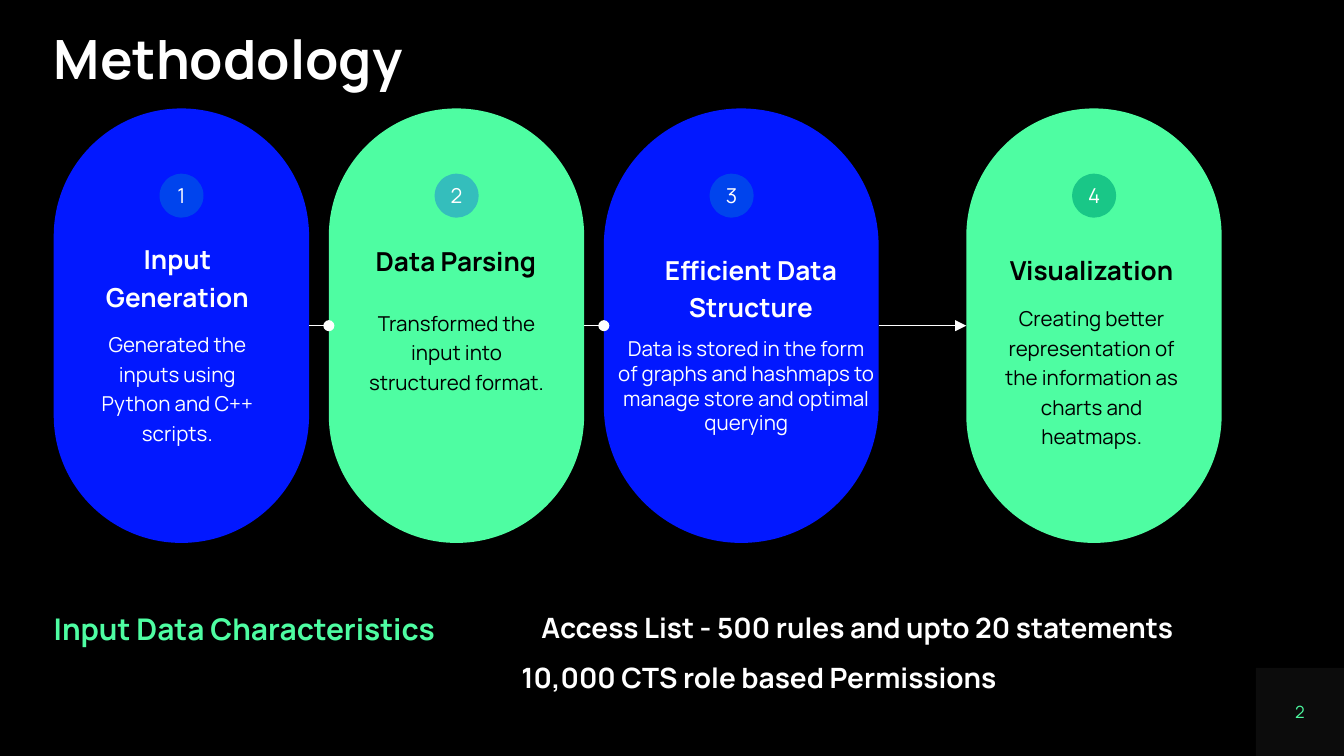
import pptx
import pptx.util
import pptx.dml.color
import pptx.enum.shapes
import pptx.enum.text
import pptx.oxml.ns
import lxml.etree

SHAPE = pptx.enum.shapes.MSO_SHAPE
ALIGN = pptx.enum.text.PP_ALIGN
ANCHOR = pptx.enum.text.MSO_ANCHOR
WHITE, BLACK, BLUE, GREEN, GREY = "FFFFFF", "000000", "0218FF", "4EFDA2", "7F7F7F"
FONT = "Manrope"
COLUMNS = 100
SLIDE_WIDTH = pptx.util.Inches(10)
SLIDE_HEIGHT = SLIDE_WIDTH * 9 // 16
PILL_TOP, PILL_HEIGHT = 8.07, 32.33


def grid(*values):
    """Turn grid units, each one column wide, into lengths."""
    return [round(v * SLIDE_WIDTH / COLUMNS) for v in values]


def paint(color_format, color):
    """Set a colour from a hex string."""
    color_format.rgb = pptx.dml.color.RGBColor.from_string(color)


def sub(parent, tag, **attributes):
    """Append a DrawingML element to a parent."""
    return lxml.etree.SubElement(parent, pptx.oxml.ns.qn(tag), attributes)


def write(tf, paragraphs, color, align=ALIGN.CENTER, inset=0, anchor=ANCHOR.TOP):
    """Fill a frame with (text, size, bold, line spacing, space before)."""
    tf.word_wrap = True
    tf.vertical_anchor = anchor
    tf.margin_left = tf.margin_right = tf.margin_top = tf.margin_bottom = grid(inset)[0]
    tf.text = "\n".join(item[0] for item in paragraphs)
    for p, (_, size, bold, spacing, before) in zip(tf.paragraphs, paragraphs):
        p.alignment = align
        p.line_spacing = spacing
        p.space_before = pptx.util.Pt(before)
        for r in p.runs:
            r.font.name = FONT
            r.font.size = pptx.util.Pt(size)
            r.font.bold = bold
            paint(r.font.color, color)


def add_text(s, box, paragraphs, color, **options):
    """Add a text box on the grid and return its frame."""
    tf = s.shapes.add_textbox(*grid(*box)).text_frame
    write(tf, paragraphs, color, **options)
    return tf


def add_shape(s, kind, box, color):
    """Add a flat shape without outline on the grid."""
    sp = s.shapes.add_shape(kind, *grid(*box))
    sp.shadow.inherit = False
    sp.fill.solid()
    paint(sp.fill.fore_color, color)
    sp.line.fill.background()
    return sp


def add_pill(s, box, number, fill, badge_fill, color, texts):
    """Place a pill, its number badge and its texts relative to a box."""
    x, y = box[:2]
    pill = add_shape(s, SHAPE.ROUNDED_RECTANGLE, box, fill)
    pill.adjustments[0] = 0.5
    badge = add_shape(s, SHAPE.OVAL, (x + 7.87, y + 4.85, 3.27, 3.27), badge_fill)
    write(badge.text_frame, [(str(number), 11, False, 1.0, 0)], WHITE, anchor=ANCHOR.MIDDLE)
    for (dx, dy, w, h), align, paragraphs in texts:
        add_text(s, (x + dx, y + dy, w, h), paragraphs, color, align=align, inset=1)


def add_link(s, start, end, y, head):
    """Join two pills with a thin white line ending in a head."""
    x1, x2, y = grid(start, end, y)
    line = s.shapes.add_connector(pptx.enum.shapes.MSO_CONNECTOR.STRAIGHT, x1, y, x2, y)
    line.line.width = pptx.util.Pt(0.75)
    paint(line.line.color, WHITE)
    sub(line.line._get_or_add_ln(), "a:tailEnd", type=head)
    sub(line._element.spPr, "a:effectLst")


def add_process(s, pills):
    """Place the row of pills and the links between neighbours."""
    for number, (x, w, fill, badge, color, texts) in enumerate(pills, 1):
        add_pill(s, (x, PILL_TOP, w, PILL_HEIGHT), number, fill, badge, color, texts)
    for left, right, head in zip(pills, pills[1:], ("oval", "oval", "triangle")):
        add_link(s, left[0] + left[1], right[0], PILL_TOP + PILL_HEIGHT / 2, head)


def add_facts(s, box):
    """Place the input data label and its two facts in a box."""
    x, y, w, h = box
    label = [("Input Data Characteristics", 16, True, 1.2, 8)]
    add_text(s, (x, y, 30.7, 2.7), label, GREEN, align=ALIGN.LEFT)
    facts = [("Access List - 500 rules and upto 20 statements", 15, True, 1.2, 5),
             ("10,000 CTS role based Permissions", 15, True, 1.2, 5)]
    tf = add_text(s, (x + 32.7, y, w - 32.7, h), facts, WHITE)
    second = tf.paragraphs[1]
    second.alignment = ALIGN.LEFT
    second._p.get_or_add_pPr().set("marL", str(grid(2.1)[0]))


def add_page_number(s, box, number):
    """Place the page number in the middle of a faint square."""
    x, y, w, h = box
    square = add_shape(s, SHAPE.RECTANGLE, box, GREY)
    color = square._element.spPr.find(".//" + pptx.oxml.ns.qn("a:srgbClr"))
    sub(color, "a:alpha", val="10000")
    label = (x + w / 2 - 0.9, y + h / 2 - 0.75, 1.8, 1.5)
    add_text(s, label, [(number, 9, False, 1.0, 0)], GREEN, anchor=ANCHOR.MIDDLE)


def heading(text):
    """Describe a pill heading."""
    return (text, 14, True, 1.2, 0)


def body(text, spacing=1.2, before=0):
    """Describe a pill's running text."""
    return (text, 11, False, spacing, before)


PILLS = [
    (4, 19, BLUE, "0044ED", WHITE, [
        ((2.45, 8.58, 13.5, 19.2), ALIGN.CENTER, [
            heading("Input Generation"),
            body("Generated the inputs using Python and C++ scripts.", before=8)])]),
    (24.47, 19, GREEN, "34BEBC", BLACK, [
        ((2.5, 8.73, 15.7, 3.3), ALIGN.LEFT, [heading("Data Parsing")]),
        ((1.66, 13.68, 15.7, 9.5), ALIGN.CENTER, [
            body("Transformed the input into structured format.")])]),
    (44.93, 20.45, BLUE, "0044ED", WHITE, [
        ((3.1, 9.37, 15.7, 2.2), ALIGN.CENTER, [heading("Efficient Data Structure")]),
        ((0, 15.95, 21.2, 14.4), ALIGN.CENTER, [
            body("Data is stored in the form of graphs and hashmaps to manage "
                 "store and optimal querying", spacing=1.0)])]),
    (71.9, 19, GREEN, "19C787", BLACK, [
        ((1.73, 9.43, 15.2, 18.3), ALIGN.CENTER, [
            heading("Visualization"),
            body("Creating better representation of the information as charts "
                 "and heatmaps.", before=8)])]),
]


def main():
    """Build the methodology slide."""
    prs = pptx.Presentation()
    prs.slide_width, prs.slide_height = SLIDE_WIDTH, SLIDE_HEIGHT
    s = prs.slides.add_slide(prs.slide_layouts[6])
    s.background.fill.solid()
    paint(s.background.fill.fore_color, BLACK)
    add_page_number(s, (93.45, 49.7, 6.55, 6.55), "2")
    add_text(s, (4, 2.44, 86.9, 4.4), [("Methodology", 29, True, 0.9, 0)], WHITE, align=ALIGN.LEFT)
    add_process(s, PILLS)
    add_facts(s, (4, 44.93, 86.9, 11.3))
    prs.save("out.pptx")


if __name__ == "__main__":
    main()
